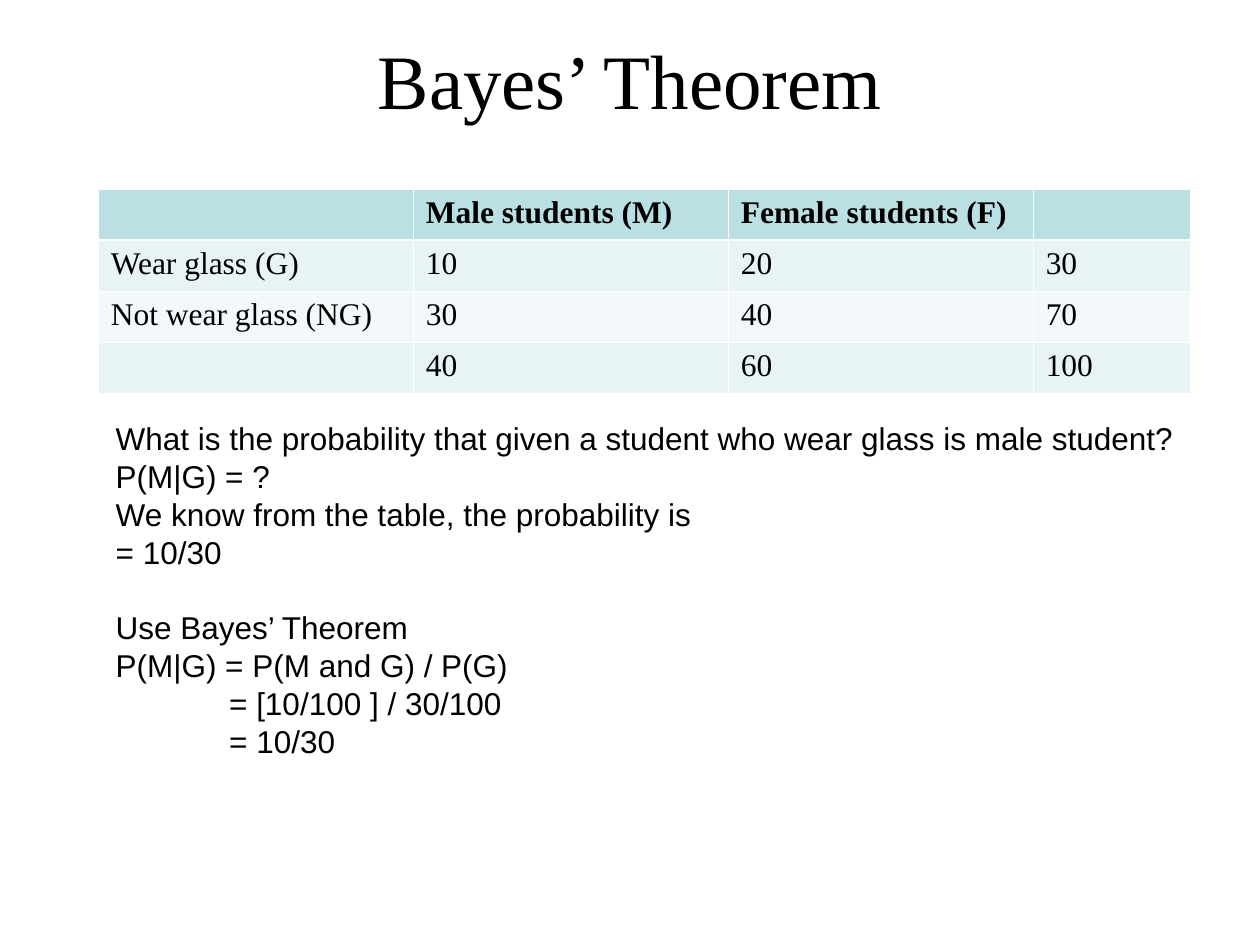
import pptx
import pptx.dml.color
import pptx.enum.text
import pptx.util
from lxml import etree
from pptx.oxml.ns import qn
from pptx.util import Inches, Pt

COLORS = {
    "text": "000000",
    "border": "FFFFFF",
    "header": "BBE0E3",
    "odd row": "E7F3F4",
    "even row": "F3F9FA",
}


def set_font(para, name, size, bold=False):
    para.font.name = name
    para.font.size = Pt(size)
    para.font.bold = bold
    para.font.color.rgb = pptx.dml.color.RGBColor.from_string(COLORS["text"])


def add_border(cell, side, width):
    """Insert one border line ahead of the cell's fill; side is L, R, T or B."""
    line = etree.Element(qn(f"a:ln{side}"), w=str(Pt(width)))
    fill = etree.SubElement(line, qn("a:solidFill"))
    etree.SubElement(fill, qn("a:srgbClr"), val=COLORS["border"])
    properties = cell._tc.get_or_add_tcPr()
    properties.insert("LRTB".index(side), line)


deck = pptx.Presentation()
deck.slide_width = Inches(10)
deck.slide_height = Inches(7.5)
page = deck.slides.add_slide(deck.slide_layouts[5])

# Title
title = page.shapes.title
title.left, title.top = Inches(0.5), Inches(0)
title.width, title.height = Inches(9), Inches(1.25)
title.text_frame.text = "Bayes’ Theorem"
title.text_frame.vertical_anchor = pptx.enum.text.MSO_ANCHOR.MIDDLE
title_para = title.text_frame.paragraphs[0]
title_para.alignment = pptx.enum.text.PP_ALIGN.CENTER
set_font(title_para, "Times New Roman", 44)

# Student counts
counts = [
    ["", "Male students (M)", "Female students (F)", ""],
    ["Wear glass (G)", "10", "20", "30"],
    ["Not wear glass (NG)", "30", "40", "70"],
    ["", "40", "60", "100"],
]
row_fills = ["header", "odd row", "even row", "odd row"]
column_widths = [2.5, 2.5, 2.42, 1.25]
table = page.shapes.add_table(
    4, 4, Inches(0.78), Inches(1.5), Inches(8.67), Inches(1.62)
).table
for column, width in zip(table.columns, column_widths):
    column.width = Inches(width)
for r, row in enumerate(counts):
    for c, text in enumerate(row):
        cell = table.cell(r, c)
        cell.text = text
        set_font(cell.text_frame.paragraphs[0], "Times New Roman", 18, bold=r == 0)
        cell.fill.solid()
        cell.fill.fore_color.rgb = pptx.dml.color.RGBColor.from_string(
            COLORS[row_fills[r]]
        )
        for side in "LRTB":
            under_header = (r, side) in [(0, "B"), (1, "T")]
            add_border(cell, side, 1.47 if under_header else 0.45)

# Worked answer: text, left indent in inches, space before in points
LINE_HEIGHT = 21.6
answer = [
    ("What is the probability that given a student who wear glass is male student?", 0, 0),
    ("P(M|G) = ?", 0, 0),
    ("We know from the table, the probability is", 0, 0),
    ("= 10/30", 0, 0),
    ("Use Bayes’ Theorem", 0, LINE_HEIGHT),
    ("P(M|G) = P(M and G) / P(G)", 0, 0),
    ("= [10/100 ] / 30/100", 0.9, 0),
    ("= 10/30", 0.9, 0),
]
box = page.shapes.add_textbox(Inches(0.82), Inches(3.28), Inches(8.59), Inches(2.8))
frame = box.text_frame
frame.word_wrap = False
frame.auto_size = pptx.enum.text.MSO_AUTO_SIZE.SHAPE_TO_FIT_TEXT
frame.text = "\n".join(text for text, _, _ in answer)
for para, (_, indent, space) in zip(frame.paragraphs, answer):
    para.line_spacing = Pt(LINE_HEIGHT)
    para.space_before = Pt(space)
    para._p.get_or_add_pPr().set("marL", str(Inches(indent)))
    set_font(para, "Arial", 18)

deck.save("out.pptx")
